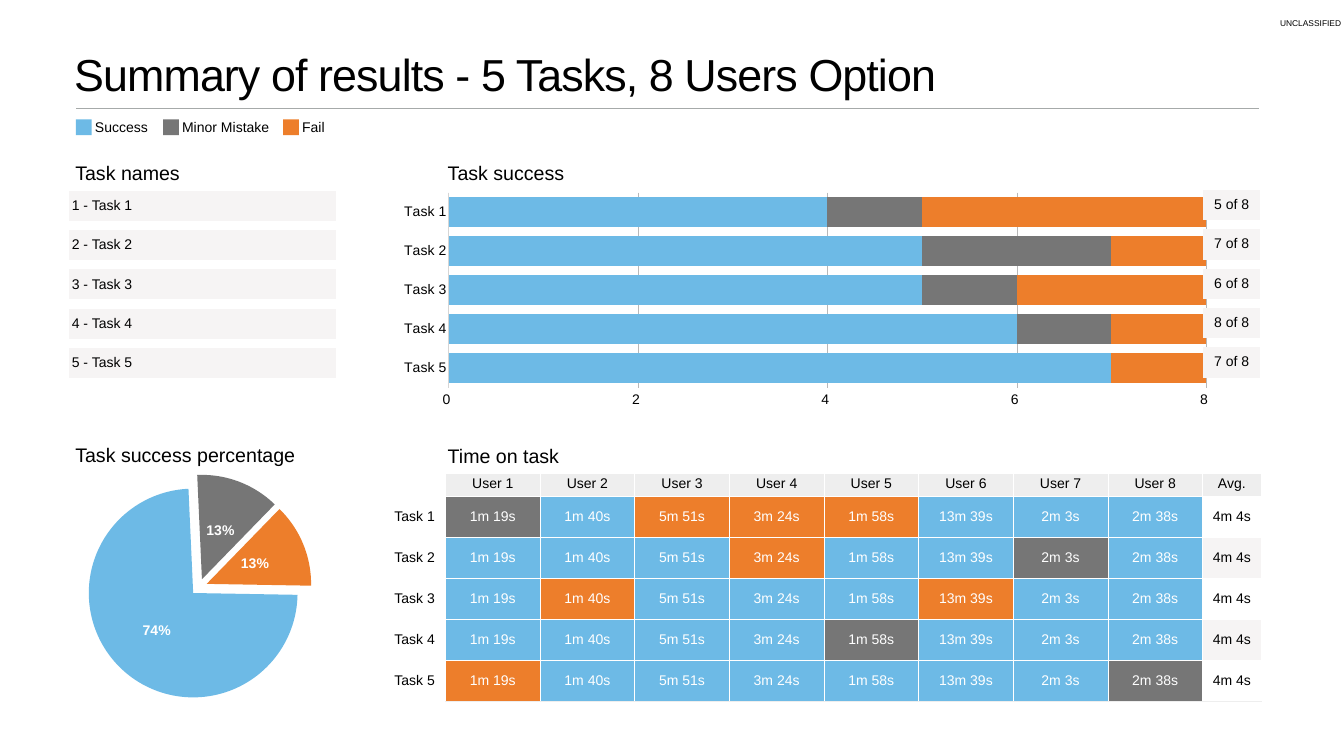
from lxml.etree import SubElement
from pptx import Presentation
from pptx.chart.data import CategoryChartData
from pptx.dml.color import RGBColor
from pptx.enum.chart import (XL_CHART_TYPE as ChartType, XL_LABEL_POSITION as LabelPos,
                             XL_TICK_LABEL_POSITION as TickLabels, XL_TICK_MARK as Tick)
from pptx.enum.shapes import MSO_CONNECTOR as Connector, MSO_SHAPE as Shape
from pptx.enum.text import MSO_ANCHOR as Anchor, PP_ALIGN as Align
from pptx.oxml import parse_xml
from pptx.oxml.ns import nsdecls, qn
from pptx.util import Pt

FONT = "Arial"
BLACK, WHITE, PALE, HEADER = "000000", "FFFFFF", "F6F4F4", "EEEEEE"
STATUS = {"S": "6DBAE6", "M": "767676", "F": "ED7E2B"}
TASKS = [f"Task {n}" for n in range(1, 6)]
TIMES = ["1m 19s", "1m 40s", "5m 51s", "3m 24s", "1m 58s", "13m 39s", "2m 3s", "2m 38s"]
OUTCOMES = ["MSFFFSSS", "SSSFSSMS", "SFSSSFSS", "SSSSMSSS", "FSSSSSSM"]


def rgb(value):
    return RGBColor.from_string(value)


def box_points(box):
    return [Pt(v) for v in box]


def write(frame, text, size=20, color=BLACK, align=Align.LEFT, spacing=None):
    paragraph = frame.paragraphs[0]
    paragraph.alignment = align
    paragraph.line_spacing = spacing
    run = paragraph.add_run()
    run.text = text
    run.font.size, run.font.name = Pt(size), FONT
    run.font.color.rgb = rgb(color)
    return run


def set_margins(target, margin):
    target.margin_left = target.margin_right = Pt(margin)
    target.margin_top = target.margin_bottom = Pt(margin)


def add_label(shapes, box, text, size=20, anchor=Anchor.MIDDLE, margin=4, **style):
    frame = shapes.add_textbox(*box_points(box)).text_frame
    frame.word_wrap = True
    frame.vertical_anchor = anchor
    set_margins(frame, margin)
    write(frame, text, size, **style)


def add_heading(slide, left, top, text):
    add_label(slide.shapes, (left, top, 470, 43), text, 28, Anchor.TOP, 3.6)


def add_title(slide, box):
    title = slide.shapes.title
    title.left, title.top, title.width, title.height = box_points(box)
    frame = title.text_frame
    frame.word_wrap = True
    frame.vertical_anchor = Anchor.TOP
    set_margins(frame, 4)
    run = write(frame, "Summary of results - 5 Tasks, 8 Users Option", 64, spacing=0.8)
    run.font._element.set("spc", "-128")
    # Rule under the title
    rule = slide.shapes.add_connector(Connector.STRAIGHT, Pt(108.6), Pt(154.8), Pt(1798), Pt(154.8))
    rule.line.color.rgb, rule.line.width = rgb("A6AAA9"), Pt(2)
    SubElement(rule._element.spPr, qn("a:effectLst"))


def add_legend(slide, left, top):
    shapes = slide.shapes.add_group_shape().shapes
    entries = [("S", 0, "Success", 97), ("M", 124.5, "Minor Mistake", 144), ("F", 296, "Fail", 72)]
    for status, offset, name, width in entries:
        swatch = shapes.add_shape(Shape.RECTANGLE, *box_points((left + offset, top, 22.5, 22.5)))
        swatch.shadow.inherit = False
        swatch.fill.solid()
        swatch.fill.fore_color.rgb = rgb(STATUS[status])
        swatch.line.fill.background()
        add_label(shapes, (left + offset + 23, top + 1, width, 20), name)


def new_table(slide, box, widths, heights):
    frame = slide.shapes.add_table(len(heights), len(widths), *box_points(box))
    table = frame.table
    table.first_row = table.horz_banding = False
    for column, width in zip(table.columns, widths):
        column.width = Pt(width)
    for row, height in zip(table.rows, heights):
        row.height = Pt(height)
    return table


def fill_cell(cell, text="", fill=None, margin=4, **style):
    cell.vertical_anchor = Anchor.MIDDLE
    set_margins(cell, margin)
    if fill:
        cell.fill.solid()
        cell.fill.fore_color.rgb = rgb(fill)
    else:
        cell.fill.background()
    if text:
        write(cell.text_frame, text, **style)
    else:
        SubElement(cell.text_frame.paragraphs[0]._p, qn("a:endParaRPr"), sz="800")


def set_borders(cell, bottom=WHITE):
    for side in "LRTB":
        line = SubElement(cell._tc.get_or_add_tcPr(), qn(f"a:ln{side}"), w="9525")
        solid = SubElement(line, qn("a:solidFill"))
        SubElement(solid, qn("a:srgbClr"), val=bottom if side == "B" else WHITE)


def clear_borders(cell):
    for side in "LRTB":
        line = SubElement(cell._tc.get_or_add_tcPr(), qn(f"a:ln{side}"), w="0")
        SubElement(line, qn("a:noFill"))


def add_spaced_list(slide, box, texts, align, spacing=None):
    """One column of shaded rows with a narrow gap row after each."""
    table = new_table(slide, box, [box[2]], [43.2, 13] * len(texts))
    for row in range(2 * len(texts)):
        cell = table.cell(row, 0)
        clear_borders(cell)
        if row % 2:
            fill_cell(cell, margin=0)
        else:
            fill_cell(cell, texts[row // 2], PALE, align=align, spacing=spacing)


def add_time_table(slide, box):
    table = new_table(slide, box, [77] + [135.2] * 8 + [84], [34] + [58.5] * 5)
    center = {"align": Align.CENTER, "spacing": 0.9}
    heads = [""] + [f"User {n}" for n in range(1, 9)] + ["Avg."]
    for col, head in enumerate(heads):
        set_borders(table.cell(0, col))
        fill_cell(table.cell(0, col), head, HEADER if head else None, **center)
    for row, (task, outcomes) in enumerate(zip(TASKS, OUTCOMES), 1):
        bottom = HEADER if row == len(TASKS) else WHITE
        for col in range(len(heads)):
            set_borders(table.cell(row, col), bottom if col else WHITE)
        fill_cell(table.cell(row, 0), task, spacing=0.9)
        for col, (time, status) in enumerate(zip(TIMES, outcomes), 1):
            fill_cell(table.cell(row, col), time, STATUS[status], 3, color=WHITE, **center)
        fill_cell(table.cell(row, 9), "4m 4s", None if row % 2 else PALE, 3, **center)


def new_chart(slide, box, kind, categories, series, plot_box):
    data = CategoryChartData()
    data.categories = categories
    for number, values in enumerate(series, 1):
        data.add_series(f"Series {number}", values)
    chart = slide.shapes.add_chart(kind, *box_points(box), data).chart
    chart.has_legend = chart.has_title = False
    chart.font.name, chart.font.size, chart.font.color.rgb = FONT, Pt(20), rgb(BLACK)
    # Fixed inner plot area
    sizes = "".join(f'<c:{k} val="{v}"/>' for k, v in zip("xywh", plot_box))
    plot_area = chart._chartSpace.chart.plotArea
    for old in plot_area.findall(qn("c:layout")):
        plot_area.remove(old)
    plot_area.insert(0, parse_xml(
        f'<c:layout {nsdecls("c")}><c:manualLayout><c:layoutTarget val="inner"/>'
        f'<c:xMode val="edge"/><c:yMode val="edge"/>{sizes}</c:manualLayout></c:layout>'))
    return chart


def add_success_bars(slide, box):
    series = [(4, 5, 5, 6, 7), (1, 2, 1, 1, 0), (3, 1, 2, 1, 1)]
    chart = new_chart(slide, box, ChartType.BAR_STACKED, TASKS, series, (0.073, 0.047, 0.921, 0.871))
    plot = chart.plots[0]
    plot.gap_width, plot.overlap, plot.vary_by_categories = 30, 100, False
    for bars, color in zip(plot.series, STATUS.values()):
        bars.format.fill.solid()
        bars.format.fill.fore_color.rgb = rgb(color)
    tasks, users = chart.category_axis, chart.value_axis
    for axis in (tasks, users):
        axis.major_tick_mark = axis.minor_tick_mark = Tick.NONE
        axis.tick_labels.font.size = Pt(20)
    # First task on top, user counts below the last one
    tasks.reverse_order = True
    users.tick_label_position = TickLabels.HIGH
    tasks.format.line.color.rgb, tasks.format.line.width = rgb("D5D5D5"), Pt(0.5)
    users.minimum_scale, users.maximum_scale, users.major_unit = 0, 8, 2
    users.tick_labels.number_format = r"0_);\(0\)"
    users.tick_labels.number_format_is_linked = False
    users.format.line.fill.background()
    grid = users.major_gridlines.format.line
    grid.color.rgb, grid.width = rgb("B8B8B8"), Pt(0.5)


def add_success_pie(slide, box):
    chart = new_chart(slide, box, ChartType.PIE, ["1", "2", "3"], [(74, 13, 13)],
                      (0.005, 0.005, 0.99, 0.988))
    plot = chart.plots[0]
    plot.vary_by_categories = False
    slices = plot.series[0]
    for index, color in enumerate(STATUS.values()):
        fill = slices.points[index].format.fill
        fill.solid()
        fill.fore_color.rgb = rgb(color)
    labels = slices.data_labels
    labels.show_percentage, labels.show_value = True, False
    labels.number_format, labels.number_format_is_linked = "#,##0%", False
    labels.position = LabelPos.CENTER
    labels.font.size, labels.font.bold, labels.font.color.rgb = Pt(20), True, rgb(WHITE)
    # Pull the slices apart and turn the first one
    explosion = parse_xml(f'<c:explosion {nsdecls("c")} val="8"/>')
    slices._element.find(qn("c:dPt")).addprevious(explosion)
    for old in plot._element.findall(qn("c:firstSliceAng")):
        plot._element.remove(old)
    SubElement(plot._element, qn("c:firstSliceAng"), val="91")


def main():
    deck = Presentation()
    deck.slide_width, deck.slide_height = Pt(1920), Pt(1080)
    slide = deck.slides.add_slide(deck.slide_layouts[5])
    add_label(slide.shapes, (0, 0, 1920, 67), "UNCLASSIFIED", 12, align=Align.RIGHT, spacing=0.9)
    add_title(slide, (102, 77.5, 1698, 98.5))
    add_legend(slide, 108.6, 170.6)
    # Upper row: tasks and their success
    add_heading(slide, 104, 227, "Task names")
    add_heading(slide, 636, 227, "Task success")
    add_success_bars(slide, (555, 260, 1176.5, 323))
    add_spaced_list(slide, (1718.6, 271.5, 82, 281), [f"{n} of 8" for n in (5, 7, 6, 8, 7)],
                    Align.CENTER, 0.9)
    add_spaced_list(slide, (98.6, 272.2, 381.6, 281),
                    [f"{n} - {task}" for n, task in enumerate(TASKS, 1)], Align.LEFT)
    # Lower row: overall share and times
    add_heading(slide, 104, 629.5, "Task success percentage")
    add_heading(slide, 636, 630, "Time on task")
    add_success_pie(slide, (108.6, 676, 351.4, 326))
    add_time_table(slide, (559.4, 675.4, 1242.6, 326.5))
    deck.save("out.pptx")


if __name__ == "__main__":
    main()
